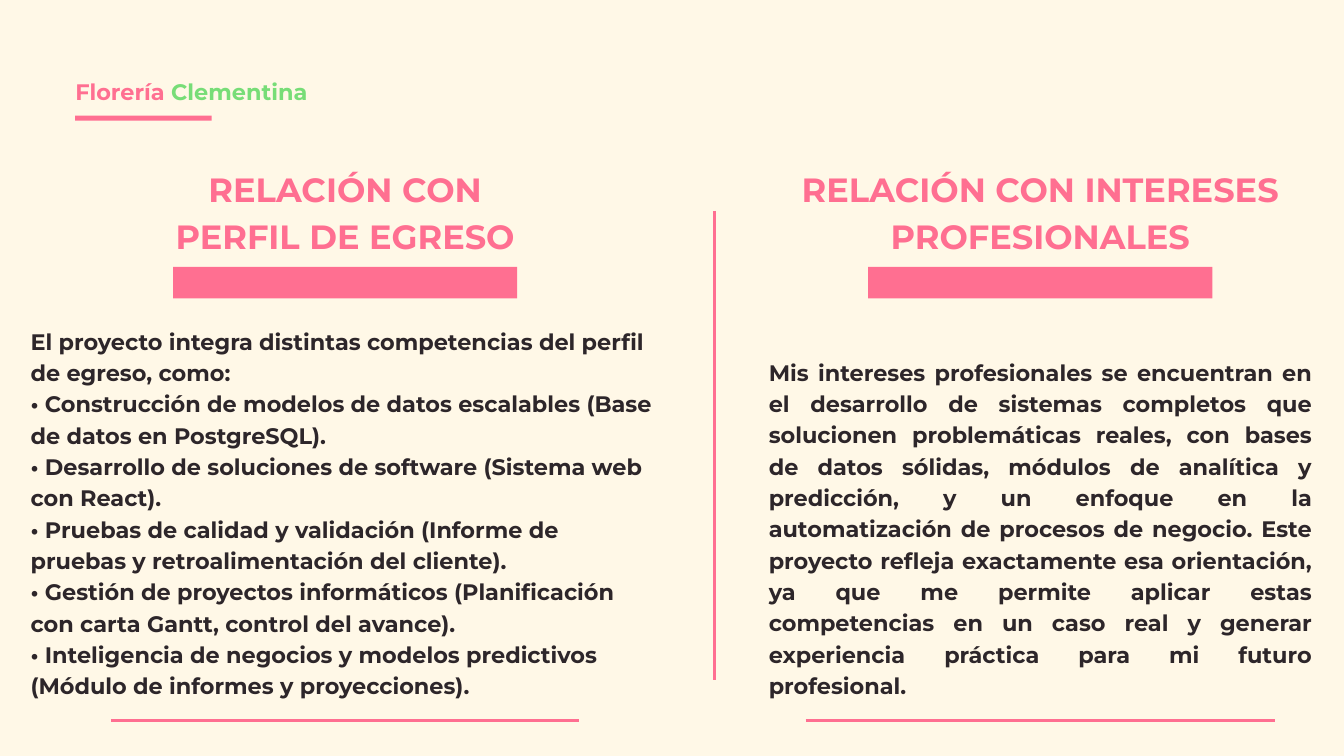
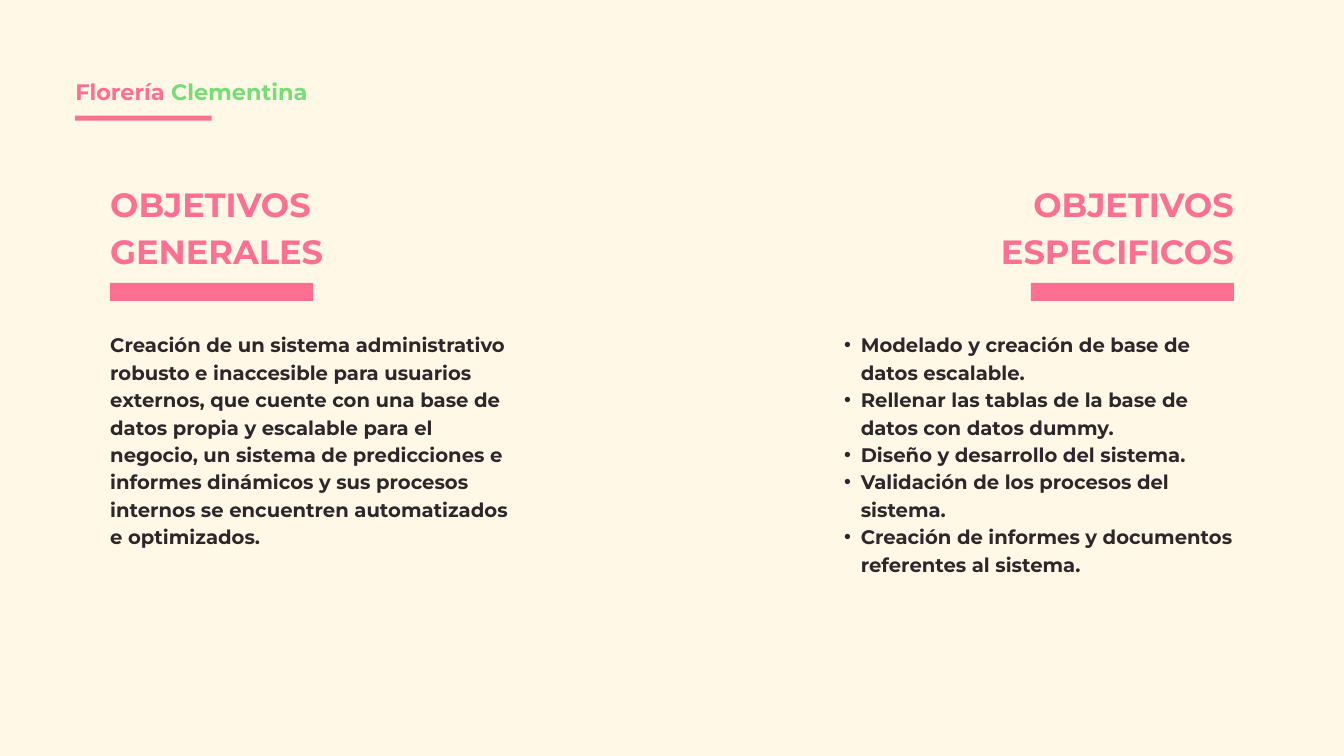
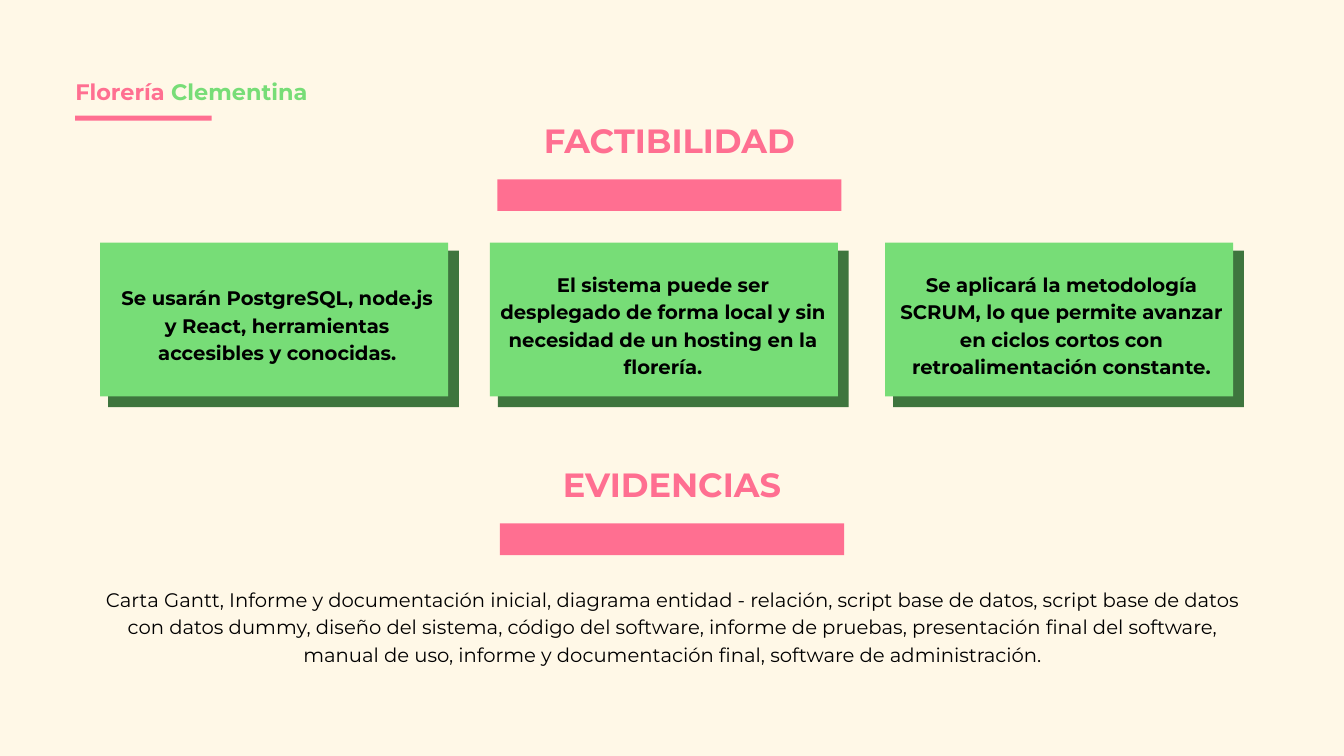
"""Build three project slides for a flower shop on a grid of 200 columns."""
from collections import namedtuple

from lxml.etree import SubElement
from pptx import Presentation
from pptx.dml.color import RGBColor as Rgb
from pptx.enum.shapes import MSO_CONNECTOR as Connector, MSO_SHAPE as Shape
from pptx.enum.text import MSO_ANCHOR as Anchor, PP_ALIGN as Align
from pptx.oxml.ns import qn
from pptx.util import Inches, Pt

COLORS = {
    "cream": "FFF8E7",
    "pink": "FF6F91",
    "green": "77DD77",
    "shade": "3E753E",
    "ink": "2D262A",
    "black": "000000",
}
FONT = "Montserrat"
WIDTH, HEIGHT = Inches(20), Inches(11.25)
COLUMNS = 200
LEADING = 1.4
TITLE_SIZE, LARGE_SIZE, BODY_SIZE = 36, 24, 21
TITLE_ROWS = {1: 6.7, 2: 13.7}
WIDE_BAR, SHORT_BAR = (51.2, 4.7), (30.2, 2.7)

Box = namedtuple("Box", "left top width height")


def grid(*cells):
    """Turn grid cells into slide lengths."""
    return [round(cell * WIDTH / COLUMNS) for cell in cells]


def color(name):
    """Look up a named colour."""
    return Rgb.from_string(COLORS[name])


def centered(box, width, top, height):
    """Return a box of the given width, centred across another box."""
    return Box(box.left + (box.width - width) / 2, top, width, height)


def add_page(deck):
    """Add a blank page with the shared background and brand."""
    page = deck.slides.add_slide(deck.slide_layouts[6])
    page.background.fill.solid()
    page.background.fill.fore_color.rgb = color("cream")
    add_brand(page, Box(11.2, 10.9, 38.2, 4.3))
    return page


def add_block(page, box, fill):
    """Draw a plain filled rectangle."""
    block = page.shapes.add_shape(Shape.RECTANGLE, *grid(*box))
    block.shadow.inherit = False
    block.fill.solid()
    block.fill.fore_color.rgb = color(fill)
    block.line.fill.background()


def add_rule(page, start, end):
    """Draw a thin pink line between two grid points."""
    rule = page.shapes.add_connector(Connector.STRAIGHT, *grid(*start, *end))
    rule.line.color.rgb = color("pink")
    rule.line.width = Pt(3)
    SubElement(rule._element.spPr, qn("a:effectLst"))


def add_bullet(para):
    """Give a paragraph a hanging bullet."""
    props = para._p.get_or_add_pPr()
    props.set("marL", str(Inches(0.5)))
    props.set("indent", str(Inches(-0.25)))
    SubElement(props, qn("a:buFont")).set("typeface", "Arial")
    SubElement(props, qn("a:buChar")).set("char", "•")


def add_text(page, box, texts, size, ink="ink", align=Align.LEFT, bold=True,
             bullets=False, anchor=Anchor.TOP):
    """Write paragraphs in a box without insets and return its frame."""
    frame = page.shapes.add_textbox(*grid(*box)).text_frame
    frame.word_wrap = True
    frame.vertical_anchor = anchor
    frame.margin_left = frame.margin_right = 0
    frame.margin_top = frame.margin_bottom = 0
    for index, text in enumerate(texts):
        para = frame.add_paragraph() if index else frame.paragraphs[0]
        para.text = text
        para.alignment = align
        para.line_spacing = Pt(size * LEADING)
        if bullets:
            add_bullet(para)
        para.font.name = FONT
        para.font.size = Pt(size)
        para.font.bold = bold
        para.font.color.rgb = color(ink)
    return frame


def add_brand(page, box):
    """Write the two-coloured shop name over its underline."""
    frame = add_text(page, box, ["Florería "], LARGE_SIZE, "pink")
    span = frame.paragraphs[0].add_run()
    span.text = "Clementina"
    span.font.color.rgb = color("green")
    add_block(page, Box(box.left, box.top + 6.3, 20.3, 0.75), "pink")


def add_heading(page, box, title, bar, gap, align=Align.CENTER):
    """Write a title with a pink bar below, on the side it aligns to."""
    add_text(page, box, [title], TITLE_SIZE, "pink", align)
    bar_width, bar_height = bar
    share = {Align.CENTER: 0.5, Align.RIGHT: 1}.get(align, 0)
    left = box.left + (box.width - bar_width) * share
    top = box.top + box.height + gap
    add_block(page, Box(left, top, bar_width, bar_height), "pink")


def add_relation(page, box, title, title_width, texts, body, align):
    """Fill a column: heading, body of (width, drop, height), closing rule."""
    body_width, drop, body_height = body
    head = centered(box, title_width, box.top, TITLE_ROWS[2])
    add_heading(page, head, title, WIDE_BAR, 1.8)
    area = centered(box, body_width, box.top + drop, body_height)
    add_text(page, area, texts, LARGE_SIZE, align=align)
    bottom = box.top + box.height
    add_rule(page, (box.left, bottom), (box.left + box.width, bottom))


def add_goals(page, box, title, title_width, texts, align, bullets=False):
    """Fill a column of goals under a heading set to its outer side."""
    left = box.left
    if align == Align.RIGHT:
        left += box.width - title_width
    head = Box(left, box.top, title_width, TITLE_ROWS[2])
    add_heading(page, head, title, SHORT_BAR, 2, align)
    area = Box(box.left, box.top + 22.6, box.width, box.height - 22.6)
    add_text(page, area, texts, BODY_SIZE, bullets=bullets)


def add_card(page, box, text, text_left):
    """Draw a green card with a dark offset behind and centred text."""
    add_block(page, Box(box.left + 1.2, box.top + 1.2,
                        box.width + 0.4, box.height + 0.4), "shade")
    add_block(page, box, "green")
    area = Box(text_left, box.top + 4, 48.5, 16.1)
    add_text(page, area, [text], BODY_SIZE, "black", Align.CENTER,
             anchor=Anchor.MIDDLE)


def build_relations(deck):
    """Relate the project to the graduate profile and to interests."""
    page = add_page(deck)
    add_relation(page, Box(16.5, 24.2, 69.7, 83), "RELACIÓN CON PERFIL DE EGRESO", 51.2, [
        "El proyecto integra distintas competencias del perfil de egreso, como:",
        "• Construcción de modelos de datos escalables (Base de datos en PostgreSQL).",
        "• Desarrollo de soluciones de software (Sistema web con React).",
        "• Pruebas de calidad y validación (Informe de pruebas y retroalimentación del cliente).",
        "• Gestión de proyectos informáticos (Planificación con carta Gantt, control del avance).",
        "• Inteligencia de negocios y modelos predictivos (Módulo de informes y proyecciones).",
    ], (93.6, 23.9, 54.7), Align.LEFT)
    add_relation(page, Box(119.9, 24.2, 69.8, 83), "RELACIÓN CON INTERESES PROFESIONALES", 75, [
        "Mis intereses profesionales se encuentran en el desarrollo de sistemas completos "
        "que solucionen problemáticas reales, con bases de datos sólidas, módulos de "
        "analítica y predicción, y un enfoque en la automatización de procesos de negocio. "
        "Este proyecto refleja exactamente esa orientación, ya que me permite aplicar estas "
        "competencias en un caso real y generar experiencia práctica para mi futuro "
        "profesional.",
    ], (80.8, 28.5, 45.6), Align.JUSTIFY)
    add_rule(page, (106.3, 31.4), (106.3, 101.2))


def build_goals(deck):
    """Set general goals against specific ones."""
    page = add_page(deck)
    add_goals(page, Box(16.4, 26.4, 59.4, 54.9), "OBJETIVOS GENERALES", 38.2, [
        "Creación de un sistema administrativo robusto e inaccesible para usuarios externos, "
        "que cuente con una base de datos propia y escalable para el negocio, un sistema de "
        "predicciones e informes dinámicos y sus procesos internos se encuentren "
        "automatizados e optimizados.",
    ], Align.JUSTIFY)
    add_goals(page, Box(123.1, 26.4, 60.5, 59), "OBJETIVOS ESPECIFICOS", 36.5, [
        "Modelado y creación de base de datos escalable.",
        "Rellenar las tablas de la base de datos con datos dummy.",
        "Diseño y desarrollo del sistema.",
        "Validación de los procesos del sistema.",
        "Creación de informes y documentos referentes al sistema.",
    ], Align.RIGHT, bullets=True)


def build_feasibility(deck):
    """Show feasibility cards above the list of evidence."""
    page = add_page(deck)
    add_heading(page, Box(74, 16.9, 51.2, TITLE_ROWS[1]), "FACTIBILIDAD", WIDE_BAR, 3.1)
    cards = [
        (14.9, 17, "Se usarán PostgreSQL, node.js y React, herramientas accesibles y "
                   "conocidas."),
        (72.9, 74.4, "El sistema puede ser desplegado de forma local y sin necesidad de un "
                     "hosting en la florería."),
        (131.7, 133.7, "Se aplicará la metodología SCRUM, lo que permite avanzar en ciclos "
                       "cortos con retroalimentación constante."),
    ]
    for left, text_left, text in cards:
        add_card(page, Box(left, 36.1, 51.8, 22.9), text, text_left)
    add_heading(page, Box(74.4, 68.1, 51.2, TITLE_ROWS[1]), "EVIDENCIAS", WIDE_BAR, 3.1)
    add_text(page, Box(14.9, 86.9, 170.3, 12), [
        "Carta Gantt, Informe y documentación inicial, diagrama entidad - relación, script "
        "base de datos, script base de datos con datos dummy, diseño del sistema, código del "
        "software, informe de pruebas, presentación final del software, manual de uso, "
        "informe y documentación final, software de administración.",
    ], BODY_SIZE, "black", Align.CENTER, bold=False)


def main():
    """Build and save the deck."""
    deck = Presentation()
    deck.slide_width, deck.slide_height = WIDTH, HEIGHT
    build_relations(deck)
    build_goals(deck)
    build_feasibility(deck)
    deck.save("out.pptx")


if __name__ == "__main__":
    main()
